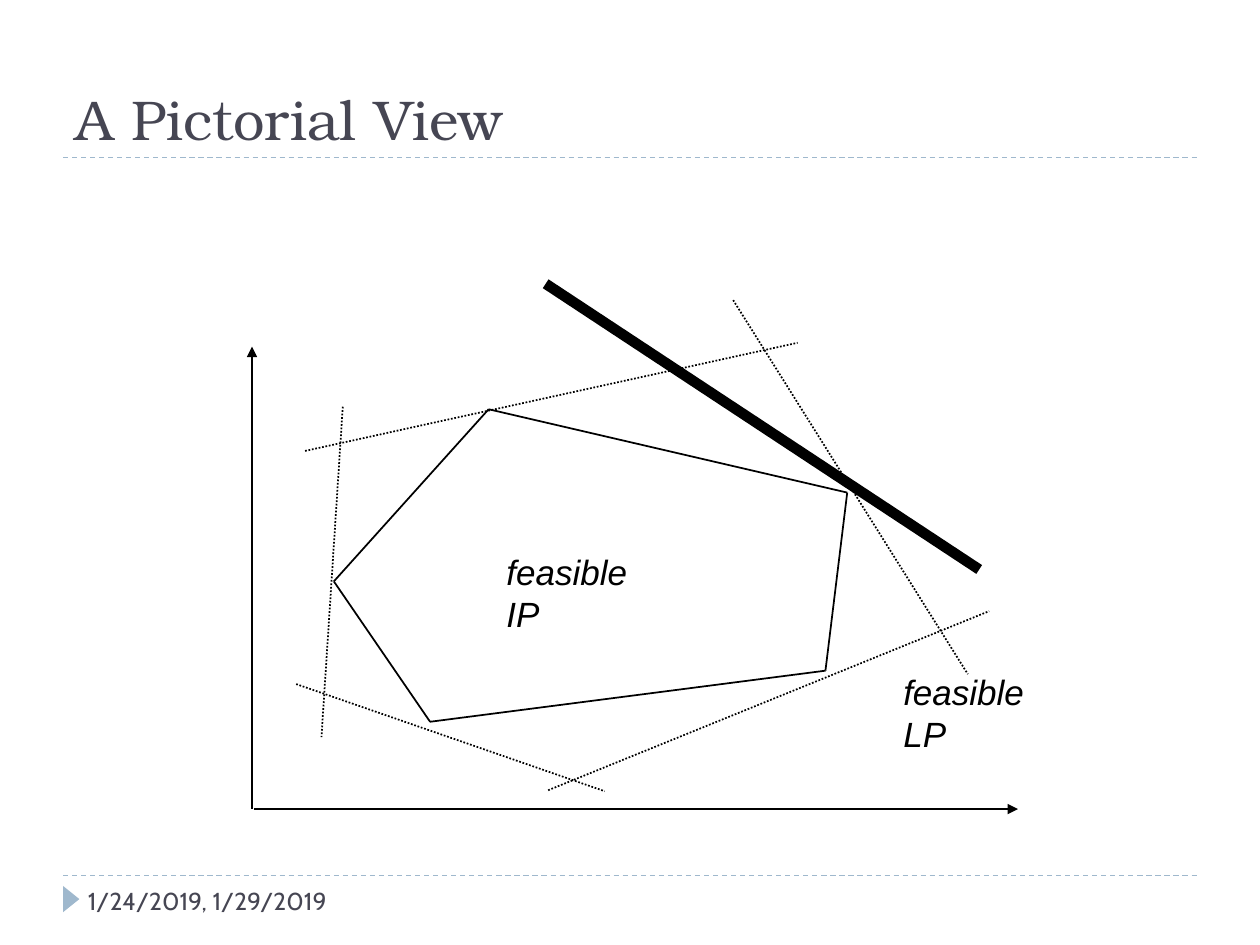
from itertools import pairwise
from typing import NamedTuple

from lxml.etree import SubElement
from pptx import Presentation
from pptx.dml.color import RGBColor
from pptx.enum.dml import MSO_LINE
from pptx.enum.shapes import MSO_CONNECTOR, MSO_SHAPE
from pptx.enum.text import MSO_ANCHOR, MSO_AUTO_SIZE, PP_ALIGN
from pptx.oxml.ns import qn
from pptx.slide import Slide
from pptx.text.text import TextFrame
from pptx.util import Cm, Pt

COLORS = {"rule": "9FB8CD", "heading": "464653", "ink": "000000"}
FONTS = {
    "title": {"name": "TeX Gyre Bonum", "size": Pt(32), "bold": False, "italic": False},
    "date": {"name": "Cabin", "size": Pt(14), "bold": False, "italic": False},
    "label": {"name": "Arial", "size": Pt(20), "bold": False, "italic": True},
}


class Point(NamedTuple):
    x: float
    y: float


class Line(NamedTuple):
    start: Point
    end: Point
    color: str = "ink"
    width: float = 1
    dash: MSO_LINE | None = None
    arrow: str | None = None


class Label(NamedTuple):
    text: str
    left: float
    top: float
    width: float
    height: float
    font: str = "label"
    color: str = "ink"


IP_VERTICES = [
    Point(9.85, 8.25),
    Point(6.73, 11.72),
    Point(8.67, 14.55),
    Point(16.64, 13.52),
    Point(17.08, 9.93),
]
LP_CONSTRAINTS = [
    (Point(6.91, 8.2), Point(6.48, 14.86)),
    (Point(5.97, 13.79), Point(12.19, 15.95)),
    (Point(11.05, 15.93), Point(19.94, 12.32)),
    (Point(14.78, 6.05), Point(19.51, 13.59)),
    (Point(6.15, 9.09), Point(16.08, 6.91)),
]
RULES = [
    Line(Point(1.27, y), Point(24.13, y), "rule", 0.75, MSO_LINE.DASH)
    for y in (17.65, 3.18)
]
AXES = [
    Line(Point(5.08, 6.99), Point(5.08, 16.31), arrow="a:headEnd"),
    Line(Point(5.13, 16.31), Point(20.52, 16.31), arrow="a:tailEnd"),
]
IP_EDGES = [Line(a, b) for a, b in pairwise(IP_VERTICES + IP_VERTICES[:1])]
LP_EDGES = [Line(a, b, dash=MSO_LINE.ROUND_DOT) for a, b in LP_CONSTRAINTS]
OBJECTIVE = Line(Point(11, 5.72), Point(19.74, 11.48), width=6)
DATE = Label("1/24/2019, 1/29/2019", 1.52, 17.73, 6.35, 1.02, "date", "heading")
REGION_LABELS = [
    Label("feasible IP", 9.96, 10.97, 3.68, 1.09),
    Label("feasible LP", 17.96, 13.39, 3.8, 1.09),
]


def rgb(color: str) -> RGBColor:
    return RGBColor.from_string(COLORS[color])


def write_text(tf: TextFrame, text: str, font: str, color: str) -> None:
    p = tf.paragraphs[0]
    p.alignment = PP_ALIGN.LEFT
    r = p.add_run()
    r.text = text
    for key, value in FONTS[font].items():
        setattr(r.font, key, value)
    r.font.color.rgb = rgb(color)


def draw_line(s: Slide, line: Line) -> None:
    ends = [Cm(v) for v in (*line.start, *line.end)]
    sp = s.shapes.add_connector(MSO_CONNECTOR.STRAIGHT, *ends)
    sp.line.color.rgb = rgb(line.color)
    sp.line.width = Pt(line.width)
    if line.dash:
        sp.line.dash_style = line.dash
    if line.arrow:
        SubElement(sp.line._get_or_add_ln(), qn(line.arrow), type="triangle")
    SubElement(sp._element.spPr, qn("a:effectLst"))


def draw_label(s: Slide, label: Label) -> None:
    box = [Cm(v) for v in (label.left, label.top, label.width, label.height)]
    tf = s.shapes.add_textbox(*box).text_frame
    tf.word_wrap = True
    write_text(tf, label.text, label.font, label.color)


def draw_marker(s: Slide) -> None:
    sp = s.shapes.add_shape(
        MSO_SHAPE.ISOSCELES_TRIANGLE, Cm(1.17), Cm(17.96), Cm(0.53), Cm(0.33)
    )
    sp.rotation = 90
    sp.shadow.inherit = False
    sp.fill.solid()
    sp.fill.fore_color.rgb = rgb("rule")
    sp.line.fill.background()


def set_title(s: Slide, text: str) -> None:
    sp = s.shapes.title
    sp.left, sp.top, sp.width, sp.height = Cm(1.27), Cm(0.64), Cm(22.86), Cm(2.54)
    tf = sp.text_frame
    tf.auto_size = MSO_AUTO_SIZE.NONE
    tf.vertical_anchor = MSO_ANCHOR.BOTTOM
    write_text(tf, text, "title", "heading")


def main() -> None:
    prs = Presentation()
    prs.slide_width, prs.slide_height = Cm(25.4), Cm(19.05)
    s = prs.slides.add_slide(prs.slide_layouts[5])
    set_title(s, "A Pictorial View")
    for line in RULES:
        draw_line(s, line)
    draw_marker(s)
    draw_label(s, DATE)
    for line in AXES + IP_EDGES + LP_EDGES:
        draw_line(s, line)
    for label in REGION_LABELS:
        draw_label(s, label)
    draw_line(s, OBJECTIVE)
    prs.save("out.pptx")


if __name__ == "__main__":
    main()
